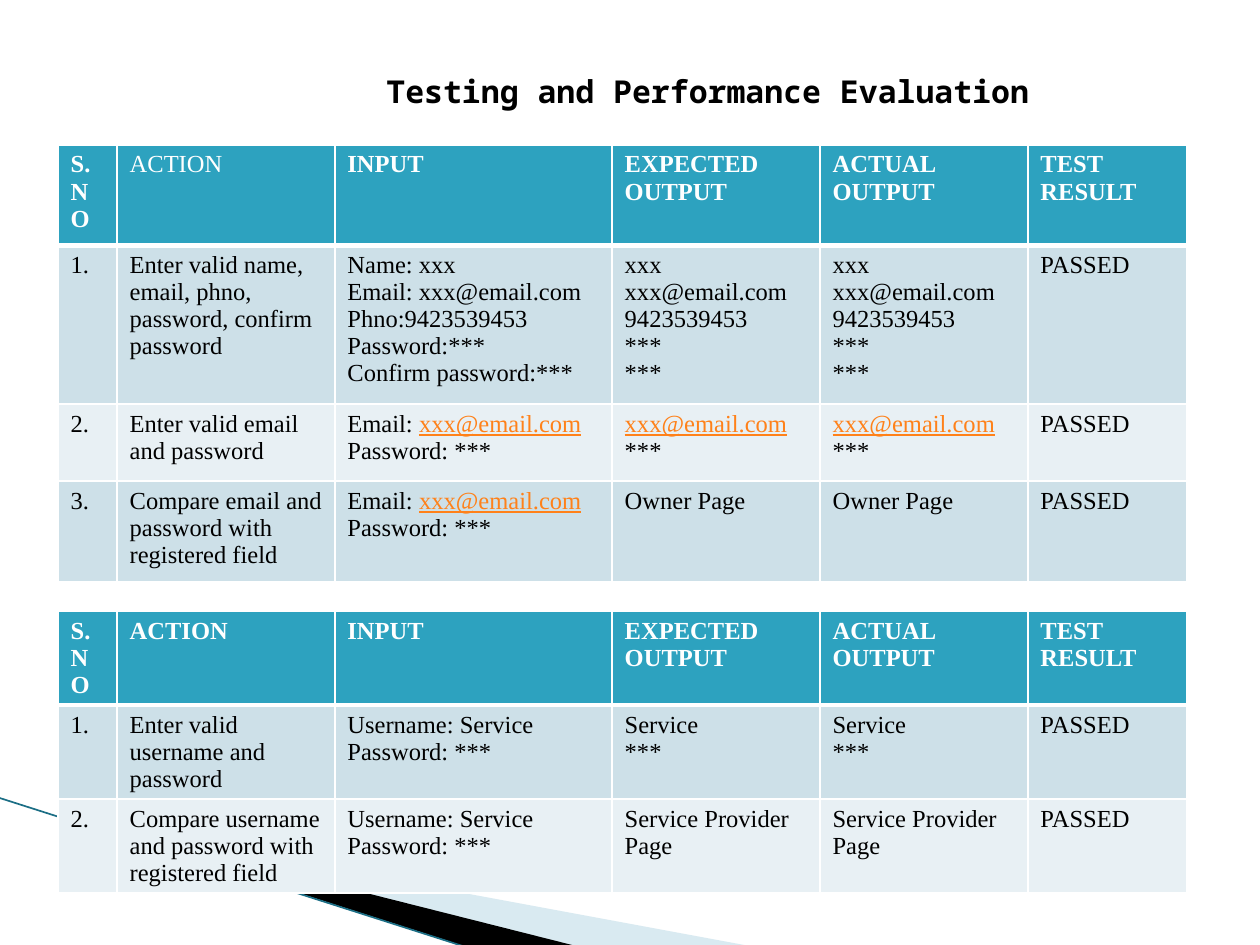
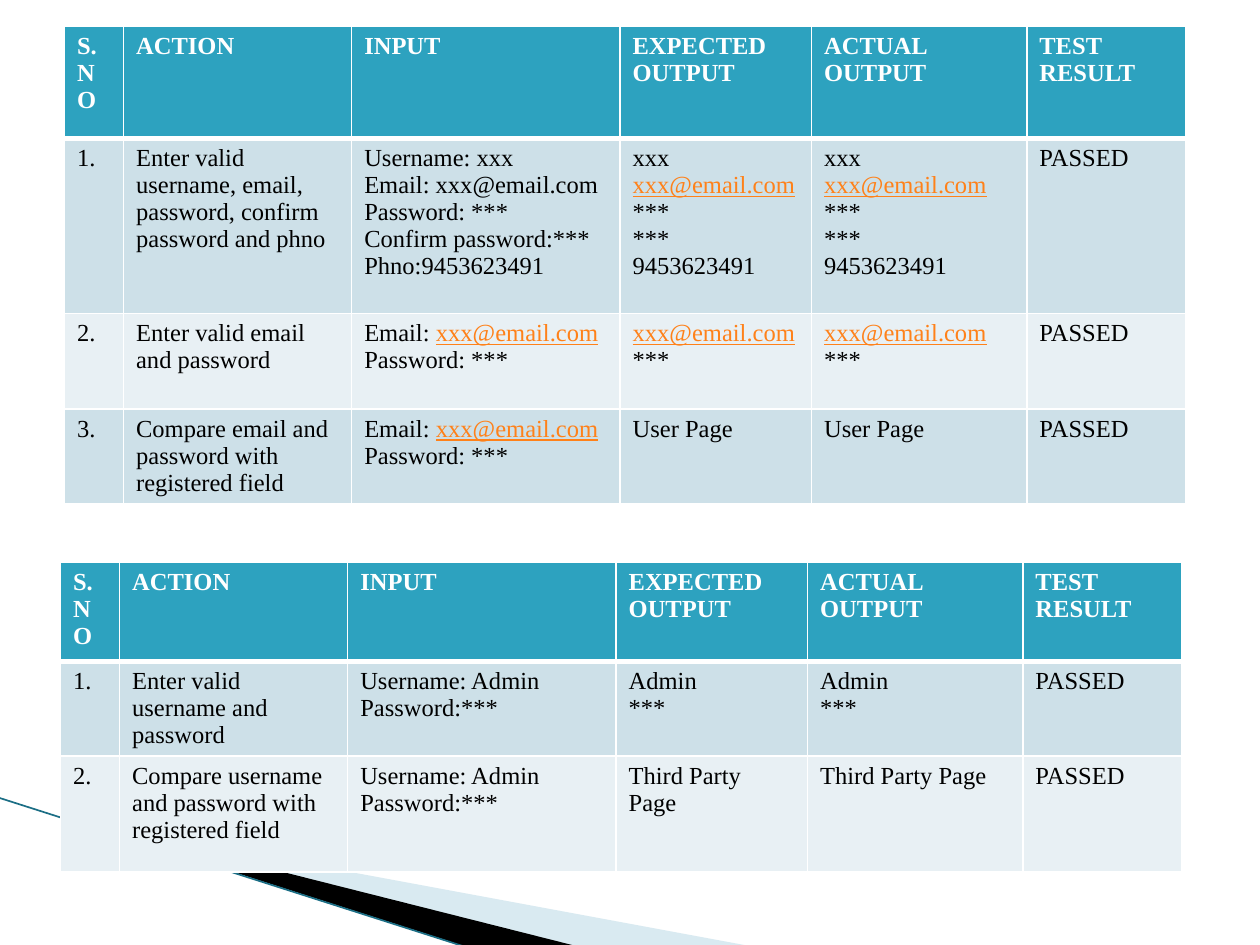
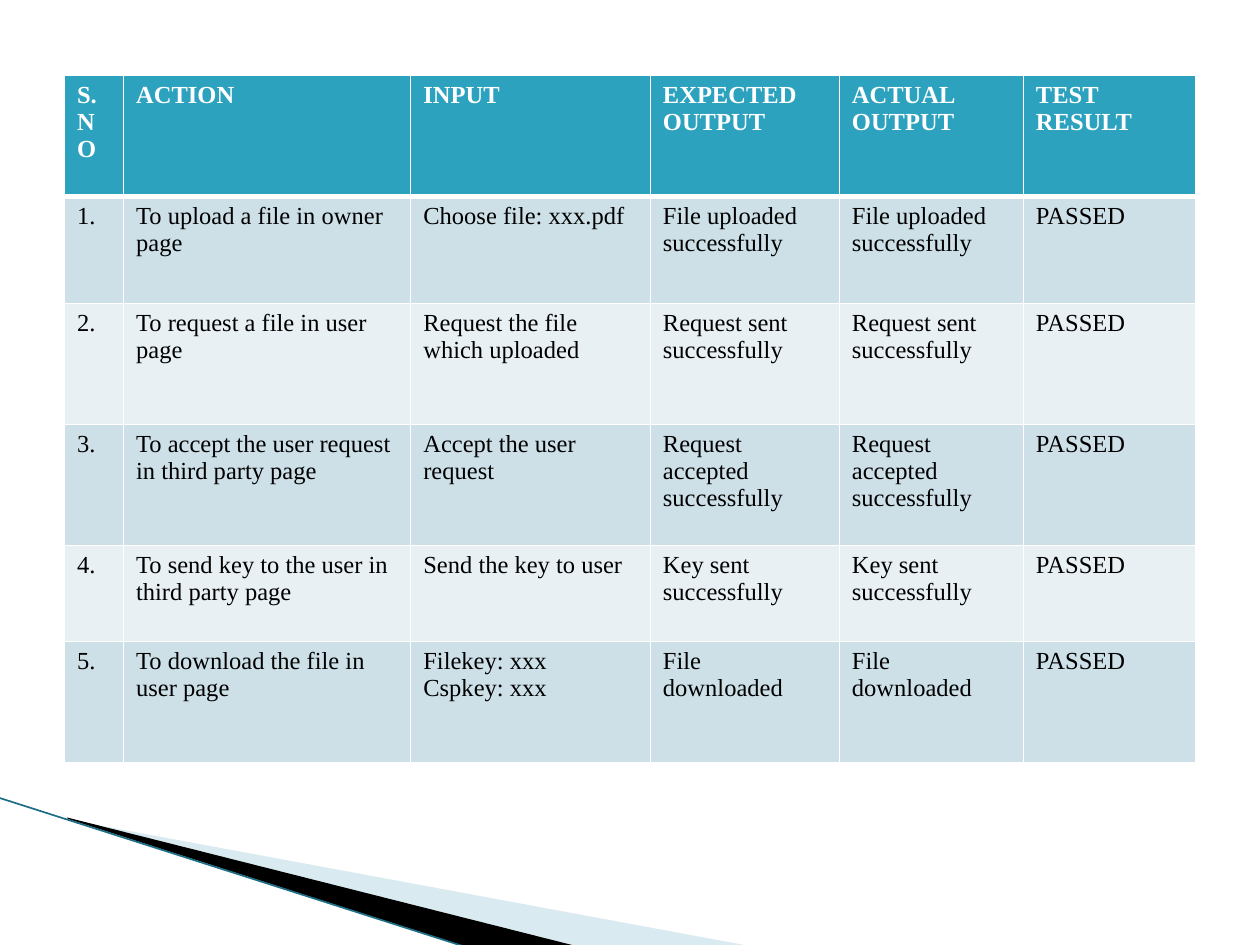
from lxml import etree
from pptx import Presentation
from pptx.dml.color import RGBColor
from pptx.enum.shapes import MSO_CONNECTOR
from pptx.oxml.ns import qn
from pptx.util import Cm, Pt

STRAIGHT = MSO_CONNECTOR.STRAIGHT
BLANK_LAYOUT = 6

BODY_FONT, TITLE_FONT = "Times New Roman", "Noto Sans Mono"
BLACK, WHITE = "000000", "FFFFFF"
HEADER_FILL, BAND_FILLS = "2DA2BF", ("CDE0E8", "E8F0F4")
LINK_COLOR, WEDGE_COLOR, EDGE_COLOR = "FF8119", "A0CBDC", "1B6E85"

HEADINGS = ("S.NO", "ACTION", "INPUT", "EXPECTED OUTPUT", "ACTUAL OUTPUT", "TEST RESULT")
EMAIL = "xxx@email.com"
LINK = f"[{EMAIL}]"  # square brackets mark link-styled text


def color(hex_string):
    return RGBColor.from_string(hex_string)


class Deck:
    """Holds the shared style and the slide being built."""

    def __init__(self):
        self.presentation = Presentation()
        self.presentation.slide_width = Cm(25.4)
        self.presentation.slide_height = Cm(19.05)
        self.slide = None

    def new_slide(self):
        layout = self.presentation.slide_layouts[BLANK_LAYOUT]
        self.slide = self.presentation.slides.add_slide(layout)
        # Corner decoration shared by all slides
        self.wedge([(1.4, 16.53), (15.11, 19.07), (11.58, 19.07), (1.4, 16.51)], WEDGE_COLOR, 40)
        self.wedge([(1.35, 16.48), (11.61, 19.07), (9.45, 19.1), (1.37, 16.51)], BLACK)
        self.line((-0.03, 16.08), (9.42, 19.1), EDGE_COLOR, 0.95)

    def wedge(self, points, fill, opacity=100):
        corners = [(Cm(x), Cm(y)) for x, y in points]
        builder = self.slide.shapes.build_freeform(*corners[0])
        builder.add_line_segments(corners[1:])
        shape = builder.convert_to_shape()
        shape.shadow.inherit = False
        shape.line.fill.background()
        shape.fill.solid()
        shape.fill.fore_color.rgb = color(fill)
        if opacity < 100:
            rgb = shape.fill._xPr.find(f".//{qn('a:srgbClr')}")
            etree.SubElement(rgb, qn("a:alpha"), val=str(opacity * 1000))

    def line(self, start, end, line_color, width):
        ends = [Cm(value) for value in (*start, *end)]
        connector = self.slide.shapes.add_connector(STRAIGHT, *ends)
        connector.line.color.rgb = color(line_color)
        connector.line.width = Pt(width)
        etree.SubElement(connector._element.spPr, qn("a:effectLst"))

    def title(self, text):
        box = self.slide.shapes.add_textbox(Cm(7.54), Cm(1.32), Cm(14), Cm(1.02))
        box.text_frame.word_wrap = True
        paragraph = box.text_frame.paragraphs[0]
        paragraph.text = text
        self.style(paragraph, TITLE_FONT, 18, BLACK, True)

    def style(self, paragraph, name, size, font_color, bold):
        font = paragraph.font
        font.name, font.size, font.bold = name, Pt(size), bold
        font.color.rgb = color(font_color)

    def test_table(self, left, top, widths, heights, tests, plain_headings=()):
        """Each test is (action, input, output); the actual output equals the expected one."""
        rows = [HEADINGS]
        for number, (action, entry, output) in enumerate(tests, 1):
            rows.append((f"{number}.", action, entry, output, output, "PASSED"))
        frame = self.slide.shapes.add_table(
            len(rows), len(widths), Cm(left), Cm(top), Cm(sum(widths)), Cm(sum(heights)))
        table = frame.table
        for column, width in zip(table.columns, widths):
            column.width = Cm(width)
        for row, height in zip(table.rows, heights):
            row.height = Cm(height)
        for row_index, row in enumerate(rows):
            for column_index, text in enumerate(row):
                bold = row_index == 0 and text not in plain_headings
                self.cell(table.cell(row_index, column_index), row_index, text, bold)

    def cell(self, cell, row_index, text, bold):
        is_header = row_index == 0
        # Borders precede the fill in the cell properties
        widths = {"lnL": 1, "lnR": 1, "lnT": 3 if row_index == 1 else 1,
                  "lnB": 3 if is_header else 1}
        properties = cell._tc.get_or_add_tcPr()
        for side, width in widths.items():
            border = etree.SubElement(properties, qn(f"a:{side}"), w=str(Pt(width)))
            fill = etree.SubElement(border, qn("a:solidFill"))
            etree.SubElement(fill, qn("a:srgbClr"), val=WHITE)
        cell.fill.solid()
        cell.fill.fore_color.rgb = color(
            HEADER_FILL if is_header else BAND_FILLS[(row_index - 1) % 2])
        # Text, one paragraph for each line
        for index, content in enumerate(text.split("\n")):
            frame = cell.text_frame
            paragraph = frame.add_paragraph() if index else frame.paragraphs[0]
            before, link, after = content.partition(LINK)
            for part in filter(None, (before, link, after)):
                run = paragraph.add_run()
                run.text = part.strip("[]")
                if part == LINK:
                    run.font.color.rgb = color(LINK_COLOR)
                    run.font.underline = True
                if is_header and not bold:
                    run.font.bold = False  # the header row style is bold
            self.style(paragraph, BODY_FONT, 14, WHITE if is_header else BLACK, bold)


def main():
    deck = Deck()
    login = ("Enter valid email and password", f"Email: {LINK}\nPassword: ***", f"{LINK}\n***")
    compare_email = "Compare email and password with registered field"
    enter_username = "Enter valid username and password"
    compare_username = "Compare username and password with registered field"

    # Slide 1: owner and service provider
    deck.new_slide()
    widths = (1.19, 4.39, 5.59, 4.19, 4.19, 3.2)
    deck.test_table(1.17, 2.92, widths, (2.03, 3.2, 1.55, 2.03), [
        ("Enter valid name, email, phno, password, confirm password",
         f"Name: xxx\nEmail: {EMAIL}\nPhno:9423539453\nPassword:***\nConfirm password:***",
         f"xxx\n{EMAIL}\n9423539453\n***\n***"),
        login,
        (compare_email, login[1], "Owner Page"),
    ], plain_headings=("ACTION",))
    service = "Username: Service\nPassword: ***"
    deck.test_table(1.17, 12.32, widths, (1.88,) * 3, [
        (enter_username, service, "Service\n***"),
        (compare_username, service, "Service Provider Page"),
    ])
    deck.title("Testing and Performance Evaluation")

    # Slide 2: user and third party
    deck.new_slide()
    widths = (1.19, 4.6, 5.41, 3.86, 4.34, 3.2)
    deck.test_table(1.3, 0.53, widths, (2.26, 3.53, 1.93, 1.9), [
        ("Enter valid username, email, password, confirm password and phno",
         f"Username: xxx\nEmail: {EMAIL}\nPassword: ***\nConfirm password:***\nPhno:9453623491",
         f"xxx\n{LINK}\n***\n***\n9453623491"),
        login,
        (compare_email, login[1], "User Page"),
    ])
    admin = "Username: Admin\nPassword:***"
    deck.test_table(1.22, 11.33, widths, (2.01, 1.9, 2.34), [
        (enter_username, admin, "Admin\n***"),
        (compare_username, admin, "Third Party Page"),
    ])

    # Slide 3: file exchange
    deck.new_slide()
    deck.test_table(1.3, 1.52, (1.19, 5.79, 4.83, 3.81, 3.71, 3.48),
                    (2.44, 2.16, 2.44, 2.44, 1.93, 2.44), [
        ("To upload a file in owner page", "Choose file: xxx.pdf", "File uploaded successfully"),
        ("To request a file in user page", "Request the file which uploaded",
         "Request sent successfully"),
        ("To accept the user request in third party page", "Accept the user request",
         "Request accepted successfully"),
        ("To send key to the user in third party page", "Send the key to user",
         "Key sent successfully"),
        ("To download the file in user page", "Filekey: xxx\nCspkey: xxx", "File downloaded"),
    ])

    deck.presentation.save("out.pptx")


if __name__ == "__main__":
    main()
